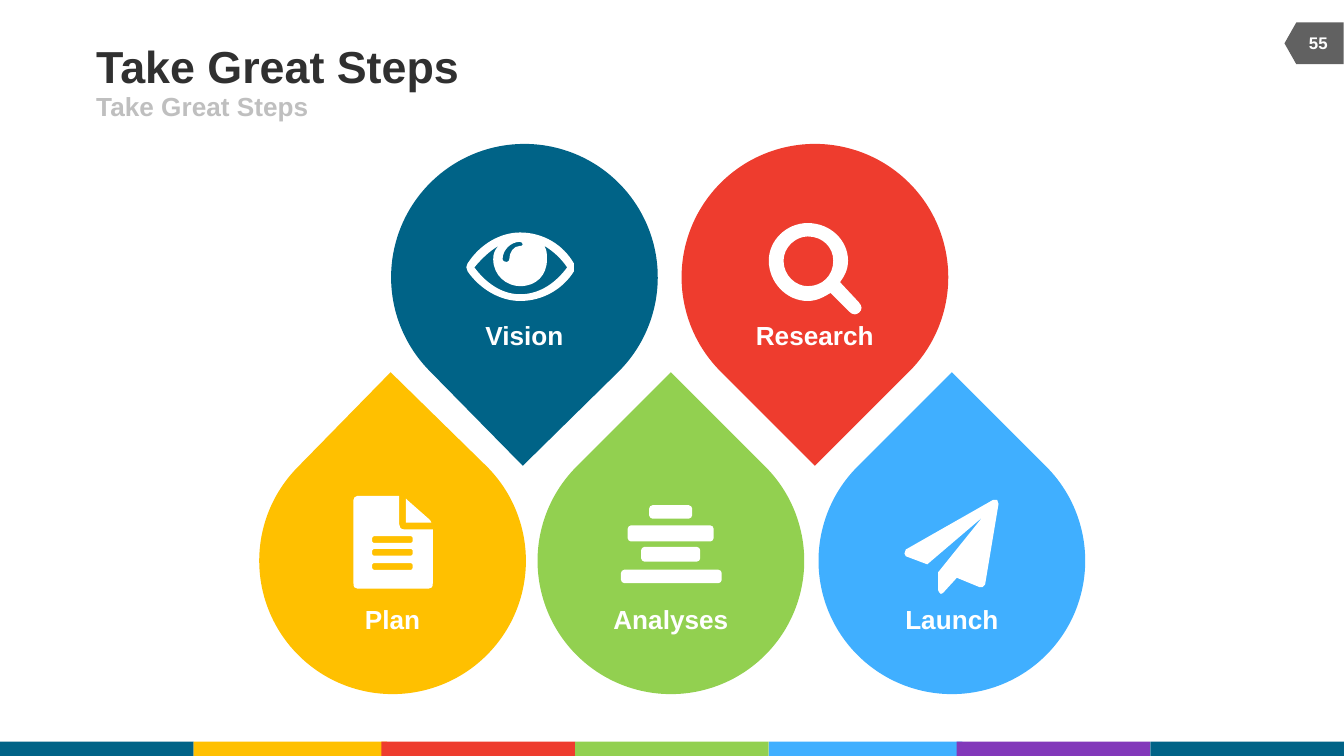
from dataclasses import dataclass
from lxml.etree import SubElement
from pptx import Presentation
from pptx.dml.color import RGBColor
from pptx.enum.shapes import MSO_SHAPE
from pptx.enum.text import MSO_ANCHOR, MSO_AUTO_SIZE, PP_ALIGN
from pptx.oxml.ns import qn
from pptx.util import Cm, Pt

HUES = {
    "teal": "006387", "gold": "FFC000", "red": "EE3C2E", "green": "92D050",
    "sky": "40AFFF", "plum": "8238BA", "gray": "616161", "ink": "303030",
    "pale": "BFBFBF", "white": "FFFFFF",
}
STRIP = [(0, "teal"), (3.66, "gold"), (7.21, "red"), (10.87, "green"),
         (14.53, "sky"), (18.08, "plum"), (21.74, "teal")]
WIDE, HIGH = 25.4, 14.29
SIZE = 5.04
UNIT = Cm(0.0254)
Path = list[tuple[float, ...]]


@dataclass
class Step:
    """A drop with its label and icon; lengths in cm, icon in 1/100 inch."""
    name: str
    hue: str
    left: float
    top: float
    turn: float
    flip: bool
    icon: list[Path]


@dataclass
class Words:
    """A line of text and the box that holds it, in cm."""
    text: str
    box: tuple[float, float, float, float]
    size: float
    hue: str
    mid: bool = True
    inset: bool = True
    grow: bool = False


def bar(x: float, y: float, r: float, b: float, c: float) -> Path:
    """Return a bar with corners rounded by c."""
    h = c / 2
    return [(r, b - c), (r, b - h, r - h, b, r - c, b), (x + c, b),
            (x + h, b, x, b - h, x, b - c), (x, y + c),
            (x, y + h, x + h, y, x + c, y), (r - c, y),
            (r - h, y, r, y + h, r, y + c)]


EYE = [
    [(427, 202), (419, 215, 404, 224, 387, 224), (372, 224, 357, 215, 348, 202),
     (348, 201, 347, 200, 347, 199), (347, 198, 348, 196, 348, 196),
     (357, 182, 372, 173, 387, 173), (404, 173, 419, 182, 427, 196),
     (427, 196, 427, 198, 427, 199), (427, 200, 427, 201, 427, 202)],
    [(405, 183), (407, 186, 407, 189, 407, 193), (407, 205, 399, 213, 387, 213),
     (377, 213, 367, 205, 367, 193), (367, 189, 368, 186, 371, 183),
     (364, 187, 358, 193, 353, 199), (361, 210, 373, 219, 387, 219),
     (402, 219, 414, 210, 422, 199), (418, 193, 412, 187, 405, 183)],
    [(387, 180), (380, 180, 374, 186, 374, 193), (374, 194, 375, 195, 377, 195),
     (378, 195, 379, 194, 379, 193), (379, 188, 382, 183, 387, 183),
     (388, 183, 389, 183, 389, 182), (389, 181, 388, 180, 387, 180)],
]
LENS = [
    [(636, 234), (634, 234, 633, 233, 632, 232), (618, 218),
     (613, 221, 608, 224, 601, 224), (585, 224, 572, 210, 572, 194),
     (572, 179, 585, 166, 601, 166), (618, 166, 631, 179, 631, 194),
     (631, 201, 628, 206, 625, 210), (639, 225),
     (640, 226, 641, 228, 641, 229), (641, 232, 638, 234, 636, 234)],
    [(601, 176), (592, 176, 583, 184, 583, 194), (583, 205, 592, 213, 601, 213),
     (612, 213, 620, 205, 620, 194), (620, 184, 612, 176, 601, 176)],
]
PAGE = [
    [(322, 394), (322, 434), (322, 437, 321, 438, 319, 438), (266, 438),
     (264, 438, 263, 437, 263, 434), (263, 372), (263, 371, 264, 369, 266, 369),
     (297, 369), (297, 390), (297, 392, 298, 394, 301, 394)],
    *[bar(277, y, 307, y + 5, 1) for y in (399, 408.5, 419)],
    [(321, 389), (302, 389), (302, 371), (302, 371, 303, 372, 303, 372),
     (320, 387), (320, 388, 320, 388, 321, 389)],
]
BARS = [bar(462, 424, 537, 434, 2.5), bar(467, 391, 531, 403, 2.5),
        bar(477, 407, 521, 418, 2.5), bar(483, 376, 515, 386, 2.5)]
PLANE = [
    [(743, 375), (733, 435), (733, 436, 731, 436, 731, 437), (730, 437),
     (729, 437), (712, 430), (702, 441), (702, 441, 701, 442, 700, 442),
     (699, 441, 698, 440, 698, 439), (698, 426), (731, 385), (690, 420),
     (674, 414), (673, 413, 673, 413, 673, 412),
     (673, 411, 673, 410, 674, 409), (739, 372), (740, 372),
     (741, 372, 741, 372, 742, 372), (743, 373, 743, 374, 743, 375)],
]
STEPS = [
    Step("Vision", "teal", 7.39, 2.72, 225.5, True, EYE),
    Step("Plan", "gold", 4.9, 8.08, 314.4, False, PAGE),
    Step("Research", "red", 12.88, 2.72, 225, True, LENS),
    Step("Analyses", "green", 10.16, 8.08, 315, False, BARS),
    Step("Launch", "sky", 15.47, 8.08, 315, False, PLANE),
]


def paint(shape, hue: str) -> None:
    """Give a shape a flat fill with no line or shadow."""
    shape.shadow.inherit = False
    shape.fill.solid()
    shape.fill.fore_color.rgb = RGBColor.from_string(HUES[hue])
    shape.line.fill.background()


def block(slide, kind: MSO_SHAPE, box: tuple, hue: str, turn: float = 0):
    """Add a preset shape."""
    shape = slide.shapes.add_shape(kind, *map(Cm, box))
    shape.rotation = turn
    paint(shape, hue)
    return shape


def write(slide, words: Words) -> None:
    """Add a text box with one bold run."""
    frame = slide.shapes.add_textbox(*map(Cm, words.box)).text_frame
    frame.word_wrap = True
    if words.grow:
        frame.auto_size = MSO_AUTO_SIZE.SHAPE_TO_FIT_TEXT
    else:
        frame.vertical_anchor = MSO_ANCHOR.MIDDLE
    if not words.inset:
        frame.margin_left = frame.margin_right = Cm(0)
        frame.margin_top = frame.margin_bottom = Cm(0)
    para = frame.paragraphs[0]
    para.alignment = PP_ALIGN.CENTER if words.mid else PP_ALIGN.LEFT
    run = para.add_run()
    run.text = words.text
    run.font.name = "Arial"
    run.font.size = Pt(words.size)
    run.font.bold = True
    run.font.color.rgb = RGBColor.from_string(HUES[words.hue])


def bend(shape, paths: list[Path]) -> None:
    """Turn the sides that have control points into curves."""
    sides = list(shape.element.iter(qn("a:lnTo")))
    parts = [part for path in paths for part in path[1:]]
    for side, part in zip(sides, parts):
        if len(part) == 2:
            continue
        curve = side.makeelement(qn("a:cubicBezTo"))
        for x, y in zip(part[::2], part[1::2]):
            dot = SubElement(curve, qn("a:pt"))
            dot.set("x", str(round(x * UNIT) - shape.left))
            dot.set("y", str(round(y * UNIT) - shape.top))
        side.getparent().replace(side, curve)


def draw(slide, paths: list[Path]) -> None:
    """Add a white icon as one outline."""
    pen = None
    for path in paths:
        ends = [(part[-2] * UNIT, part[-1] * UNIT) for part in path]
        if pen is None:
            pen = slide.shapes.build_freeform(*ends[0], scale=1.0)
        else:
            pen.move_to(*ends[0])
        pen.add_line_segments(ends[1:], close=True)
    shape = pen.convert_to_shape()
    bend(shape, paths)
    paint(shape, "white")


def place(slide, step: Step) -> None:
    """Add a drop, its label and its icon."""
    box = (step.left, step.top, SIZE, SIZE)
    drop = block(slide, MSO_SHAPE.TEAR, box, step.hue, step.turn)
    if step.flip:
        drop.element.spPr.xfrm.set("flipH", "1")
    spot = (step.left + 0.28, step.top + 3.2, SIZE - 0.56, 0.86)
    write(slide, Words(step.name, spot, 14, "white", grow=True))
    draw(slide, step.icon)


def main() -> None:
    """Build the slide."""
    deck = Presentation()
    deck.slide_width, deck.slide_height = Cm(WIDE), Cm(HIGH)
    slide = deck.slides.add_slide(deck.slide_layouts[6])
    for left, hue in STRIP:
        block(slide, MSO_SHAPE.RECTANGLE, (left, 14.02, 3.66, 0.27), hue)
    block(slide, MSO_SHAPE.FLOWCHART_OFFPAGE_CONNECTOR,
          (24.44, 0.26, 0.79, 1.12), "gray", 90)
    title = "Take Great Steps"
    write(slide, Words(title, (1.82, 0.74, 15.67, 0.99), 24, "ink", False, False))
    write(slide, Words(title, (1.82, 1.73, 11.43, 0.56), 14, "pale", False, False))
    write(slide, Words("55", (24.38, 0.43, 1.07, 0.76), 9, "white"))
    for step in STEPS:
        place(slide, step)
    deck.save("out.pptx")


if __name__ == "__main__":
    main()
